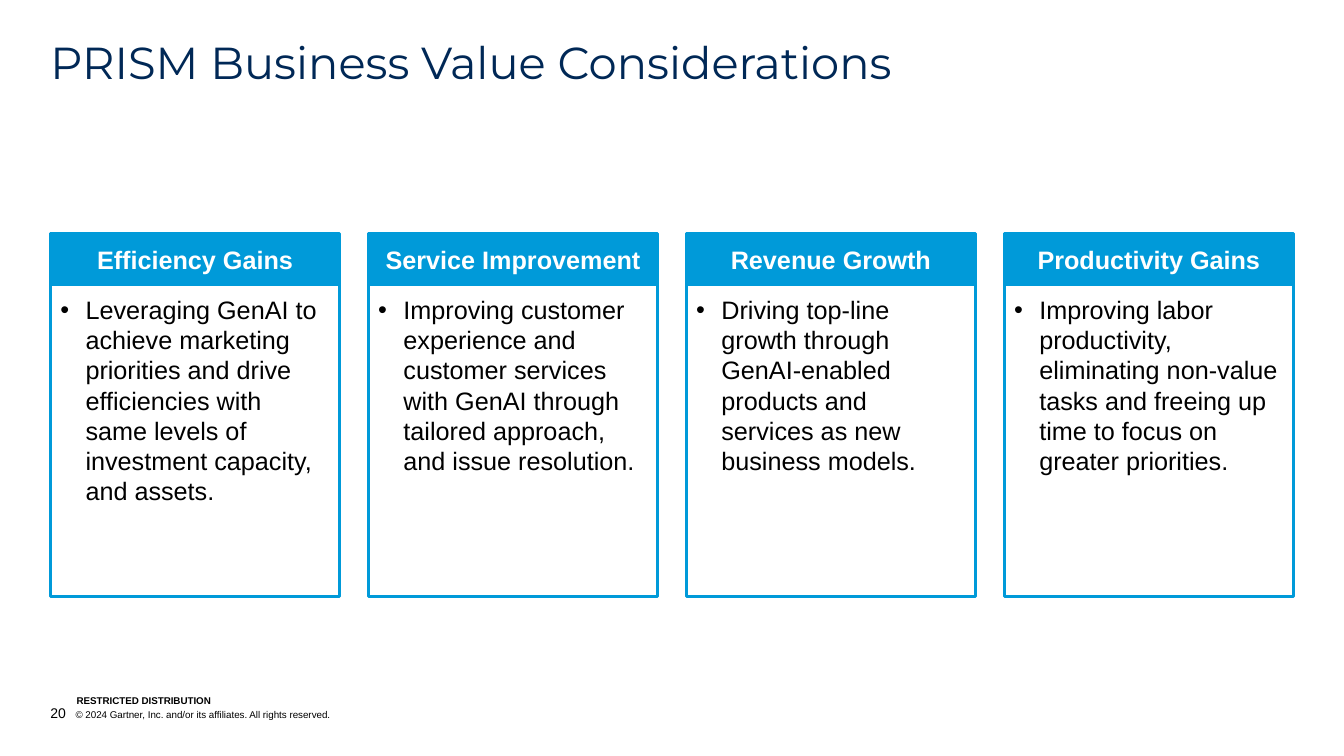
from lxml import etree
from pptx import Presentation
from pptx.dml.color import RGBColor
from pptx.enum.shapes import MSO_SHAPE
from pptx.enum.text import MSO_ANCHOR, PP_ALIGN
from pptx.oxml.ns import qn
from pptx.util import Inches, Pt

RECT = MSO_SHAPE.RECTANGLE
TOP, MIDDLE, BOTTOM = MSO_ANCHOR.TOP, MSO_ANCHOR.MIDDLE, MSO_ANCHOR.BOTTOM
LEFT, CENTER = PP_ALIGN.LEFT, PP_ALIGN.CENTER
NAVY, BLUE, WHITE, BLACK = "002856", "009AD9", "FFFFFF", "000000"

MARGIN, CONTENT_W = 0.5, 12.33
CARD_W, HEADER_H, HANG = 2.87, 0.5, 0.25

CARDS = [
    ("Efficiency Gains",
     "Leveraging GenAI to achieve marketing priorities and drive efficiencies "
     "with same levels of investment capacity, and assets."),
    ("Service Improvement",
     "Improving customer experience and customer services with GenAI through "
     "tailored approach, and issue resolution."),
    ("Revenue Growth",
     "Driving top-line growth through GenAI-enabled products and services as "
     "new business models."),
    ("Productivity Gains",
     "Improving labor productivity, eliminating non-value tasks and freeing up "
     "time to focus on greater priorities."),
]


def rgb(color):
    return RGBColor.from_string(color)


def set_frame(tf, anchor, inset=0):
    tf.word_wrap = True
    tf.vertical_anchor = anchor
    tf.margin_left = tf.margin_right = Inches(inset)
    tf.margin_top = tf.margin_bottom = Inches(inset)
    return tf.paragraphs[0]


def add_run(p, text, size, color=BLACK, bold=False, font="Arial"):
    r = p.add_run()
    r.text = text
    r.font.name, r.font.size, r.font.bold = font, Pt(size), bold
    r.font.color.rgb = rgb(color)


def hang(p, bullet=None):
    pPr = p._p.get_or_add_pPr()
    pPr.set("marL", str(Inches(HANG)))
    pPr.set("indent", str(-Inches(HANG)))
    if bullet:
        color = etree.SubElement(pPr, qn("a:buClr"))
        etree.SubElement(color, qn("a:srgbClr"), val=BLACK)
        etree.SubElement(pPr, qn("a:buFont"), typeface="Arial")
        etree.SubElement(pPr, qn("a:buChar"), char=bullet)


def add_title(s, text, x, y, w, h):
    sp = s.shapes.title
    sp.left, sp.top, sp.width, sp.height = map(Inches, (x, y, w, h))
    p = set_frame(sp.text_frame, TOP)
    p.alignment, p.line_spacing = LEFT, 0.9
    add_run(p, text, 32, NAVY, font="Montserrat")


def add_panel(s, x, y, w, h, anchor, align, fill=None):
    sp = s.shapes.add_shape(RECT, *map(Inches, (x, y, w, h)))
    sp.shadow.inherit = False
    if fill:
        sp.fill.solid()
        sp.fill.fore_color.rgb = rgb(fill)
    else:
        sp.fill.background()
    sp.line.color.rgb = rgb(BLUE)
    sp.line.width = Pt(2)
    p = set_frame(sp.text_frame, anchor, 0.1)
    p.alignment = align
    return p


def add_card(s, heading, body, x, y, w, h):
    p = add_panel(s, x, y, w, HEADER_H, MIDDLE, CENTER, BLUE)
    add_run(p, heading, 18, WHITE, bold=True)
    p = add_panel(s, x, y + HEADER_H, w, h - HEADER_H, TOP, LEFT)
    hang(p, "•")
    add_run(p, body, 18)


def add_cards(s, x, y, w, h):
    pitch = (w - CARD_W) / (len(CARDS) - 1)
    for i, (heading, body) in enumerate(CARDS):
        add_card(s, heading, body, x + i * pitch, y, CARD_W, h)


def add_footer(s, x, y, w, h):
    label = s.shapes.add_textbox(*map(Inches, (x + 0.26, y, 2.53, 0.12)))
    add_run(set_frame(label.text_frame, BOTTOM), "RESTRICTED DISTRIBUTION", 7, bold=True)
    notice = s.shapes.add_textbox(*map(Inches, (x, y + 0.1, w, h - 0.1)))
    p = set_frame(notice.text_frame, BOTTOM)
    hang(p)
    add_run(p, "20", 10)
    add_run(p, "\t© 2024 Gartner, Inc. and/or its affiliates. All rights reserved.", 7)


def main():
    prs = Presentation()
    prs.slide_width, prs.slide_height = Inches(13.33), Inches(7.5)
    s = prs.slides.add_slide(prs.slide_layouts[5])
    add_title(s, "PRISM Business Value Considerations", MARGIN, 0.4, CONTENT_W, 0.49)
    add_cards(s, MARGIN, 2.32, CONTENT_W, 3.6)
    add_footer(s, MARGIN, 6.89, 7.99, 0.27)
    prs.save("out.pptx")


if __name__ == "__main__":
    main()
